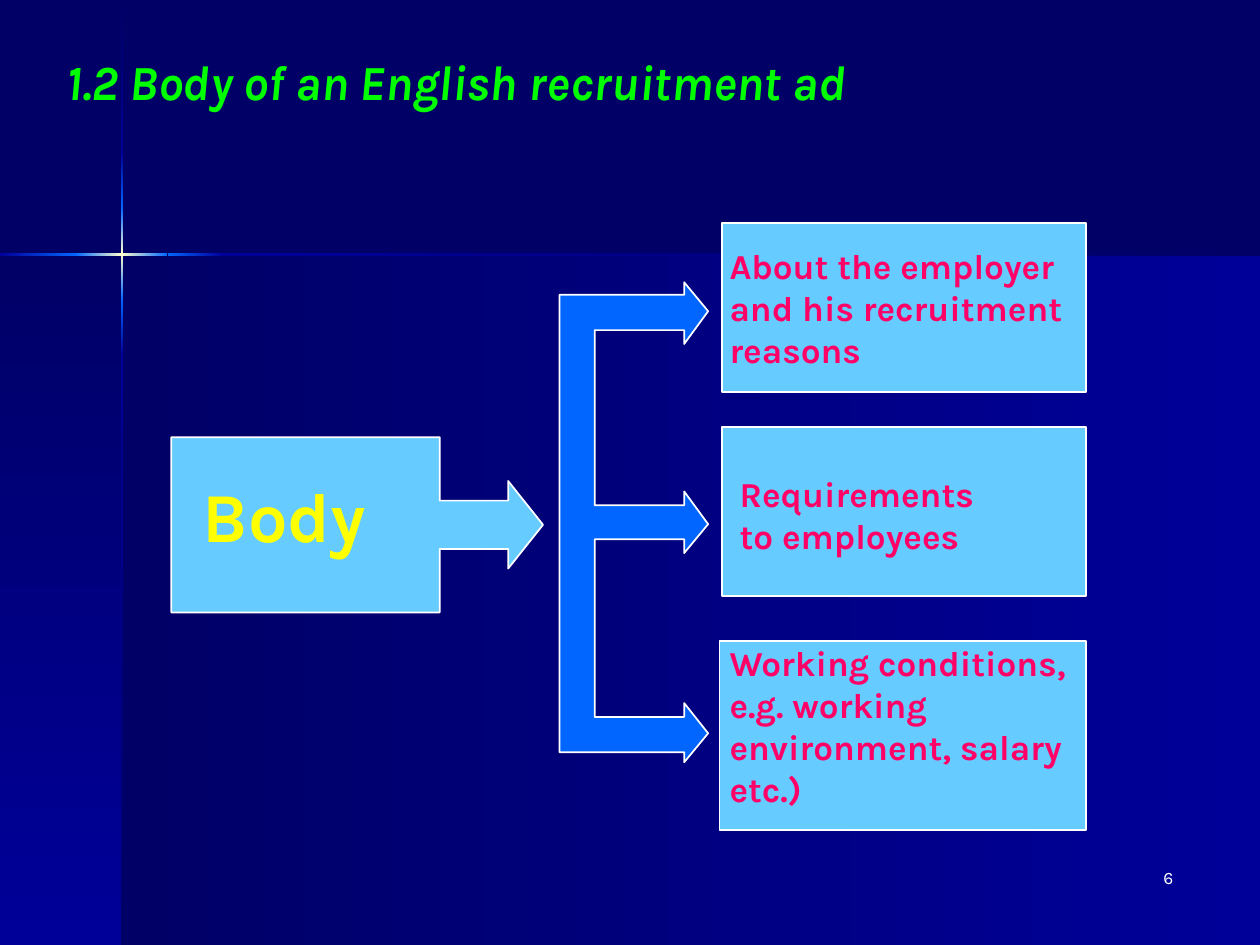
from pptx import Presentation
from pptx.dml.color import RGBColor
from pptx.enum.shapes import MSO_SHAPE as Shape
from pptx.enum.text import PP_ALIGN as Align
from pptx.oxml import parse_xml
from pptx.oxml.ns import nsdecls
from pptx.util import Inches, Pt

COLORS = {
    "navy": "000066", "royal": "000099", "blue": "0066FF", "glow": "FFFFCC",
    "sky": "66CCFF", "white": "FFFFFF", "yellow": "FFFF00",
    "pink": "FF0066", "green": "00FF00",
}
FONT = "Karla"
DOWN, LEFT = 90, 180  # gradient directions, clockwise degrees

# Background panels and the star-shaped cross: box, gradient, direction
BACKDROP = [
    ((0.97, 2.02, 9.03, 5.48), ("royal", "navy"), LEFT),
    ((0, 2.02, 0.97, 5.48), ("navy", "royal"), DOWN),
    ((0.96, 0.01, 0.02, 1.21), ("navy", "royal"), DOWN),
    ((0.96, 2.82, 0.02, 4.68), ("royal", "navy"), DOWN),
    ((1.77, 2.01, 8.23, 0.02), ("navy", "royal"), LEFT),
    ((0.96, 2.38, 0.02, 0.44), ("blue", "royal"), DOWN),
    ((0.96, 1.21, 0.02, 0.44), ("royal", "blue"), DOWN),
    ((0.96, 1.65, 0.02, 0.73), ("blue", "glow", "blue"), DOWN),
    ((0, 2.01, 0.61, 0.02), ("blue", "royal"), LEFT),
    ((1.33, 2.01, 0.44, 0.02), ("royal", "blue"), LEFT),
    ((0.6, 2.01, 0.73, 0.02), ("blue", "glow", "blue"), LEFT),
]

# Topics: box, text box, text
TOPICS = [
    ((5.73, 1.77, 2.89, 1.34), (5.79, 1.94, 2.84, 1.4),
     "About the employer and his recruitment reasons"),
    ((5.73, 3.39, 2.89, 1.34), (5.87, 3.75, 1.99, 0.67),
     "Requirements to employees"),
    ((5.71, 5.09, 2.91, 1.5), (5.79, 5.09, 2.84, 1.33),
     "Working conditions, e.g. working environment, salary etc.)"),
]

# Three-way arrow: x of spine and heads, then the y values of each branch
SPINE_LEFT, SPINE_RIGHT, HEAD_BACK, HEAD_TIP = 4.44, 4.72, 5.43, 5.62
BRANCHES = [  # shaft top, head top, tip, head bottom, shaft bottom
    (2.34, 2.24, 2.47, 2.73, 2.62),
    (4.01, 3.9, 4.16, 4.39, 4.28),
    (5.69, 5.58, 5.82, 6.05, 5.97),
]
CALLOUT_BOX = (1.36, 3.47, 2.95, 1.39)
CALLOUT_ADJUSTMENTS = (0.276, 0.25, 0.199, 0.722)

presentation = Presentation()
presentation.slide_width, presentation.slide_height = Inches(10), Inches(7.5)
slide = presentation.slides.add_slide(presentation.slide_layouts[6])


def rgb(name):
    return RGBColor.from_string(COLORS[name])


def place(values):
    return [Inches(value) for value in values]


def style(shape, fill):
    shape.shadow.inherit = False
    shape.fill.solid()
    shape.fill.fore_color.rgb = rgb(fill)
    shape.line.color.rgb = rgb("white")
    shape.line.width = Pt(1)


def add_gradient(box, names, angle):
    shape = slide.shapes.add_shape(Shape.RECTANGLE, *place(box))
    shape.shadow.inherit = False
    shape.line.fill.background()
    gradient = parse_xml(f'<a:gradFill {nsdecls("a")}><a:gsLst/>'
                         f'<a:lin ang="{angle * 60000}" scaled="0"/></a:gradFill>')
    for index, name in enumerate(names):
        position = 100000 * index // (len(names) - 1)
        gradient[0].append(parse_xml(
            f'<a:gs {nsdecls("a")} pos="{position}">'
            f'<a:srgbClr val="{COLORS[name]}"/></a:gs>'))
    shape.element.spPr.find(".//{*}prstGeom").addnext(gradient)


def add_text(box, text, size, color, bold=True, italic=False,
             margins=(0, 0), align=Align.LEFT):
    frame = slide.shapes.add_textbox(*place(box)).text_frame
    frame.word_wrap = True
    frame.margin_left = frame.margin_right = Inches(margins[0])
    frame.margin_top = frame.margin_bottom = Inches(margins[1])
    paragraph = frame.paragraphs[0]
    paragraph.text = text
    paragraph.alignment = align
    font = paragraph.font
    font.name, font.size, font.bold, font.italic = FONT, Pt(size), bold, italic
    font.color.rgb = rgb(color)


# Background
slide.background.fill.solid()
slide.background.fill.fore_color.rgb = rgb("navy")
for box, names, angle in BACKDROP:
    add_gradient(box, names, angle)

# Topic boxes
for box, _, _ in TOPICS:
    style(slide.shapes.add_shape(Shape.RECTANGLE, *place(box)), "sky")

# Three-way arrow
points = [(SPINE_LEFT, BRANCHES[0][0])]
for shaft_top, head_top, tip, head_bottom, shaft_bottom in BRANCHES:
    points += [(SPINE_RIGHT, shaft_top), (HEAD_BACK, shaft_top),
               (HEAD_BACK, head_top), (HEAD_TIP, tip), (HEAD_BACK, head_bottom),
               (HEAD_BACK, shaft_bottom), (SPINE_RIGHT, shaft_bottom)]
points.append((SPINE_LEFT, BRANCHES[-1][-1]))
start, *corners = [place(point) for point in points]
builder = slide.shapes.build_freeform(*start)
builder.add_line_segments(corners, close=True)
style(builder.convert_to_shape(), "blue")

# Body callout
callout = slide.shapes.add_shape(Shape.RIGHT_ARROW_CALLOUT, *place(CALLOUT_BOX))
for index, value in enumerate(CALLOUT_ADJUSTMENTS):
    callout.adjustments[index] = value
style(callout, "sky")

# Text
add_text((1.61, 3.75, 1.94, 0.67), "Body", 40, "yellow")
for _, box, text in TOPICS:
    add_text(box, text, 20, "pink")
add_text((0.43, 0.36, 8.51, 0.57), "1.2 Body of an English recruitment ad",
         28, "green", italic=True, margins=(0.1, 0.05))
add_text((7.33, 6.83, 2.08, 0.5), "6", 10, "white", bold=False,
         margins=(0.1, 0.05), align=Align.RIGHT)

presentation.save("out.pptx")
